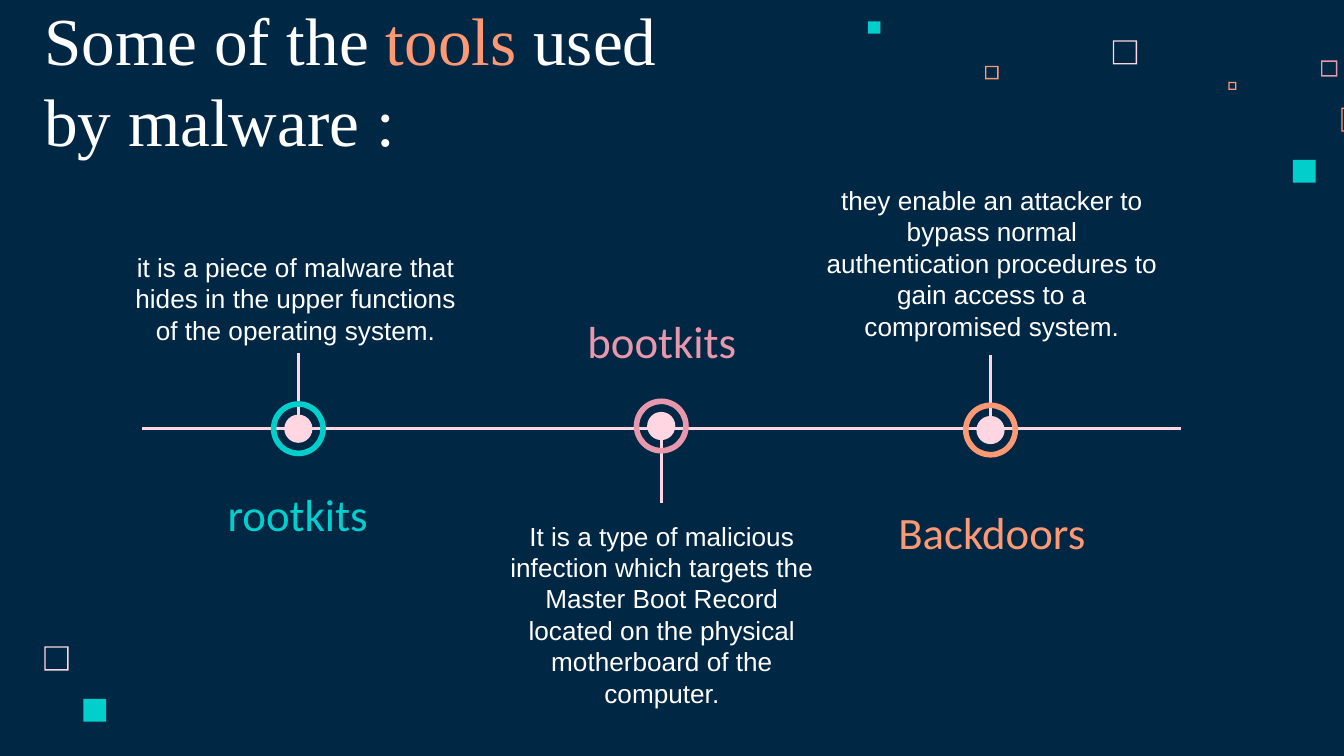
from pptx import Presentation
from pptx.dml.color import RGBColor
from pptx.enum.shapes import MSO_CONNECTOR, MSO_SHAPE
from pptx.enum.text import MSO_ANCHOR, PP_ALIGN
from pptx.oxml import parse_xml
from pptx.oxml.ns import nsdecls
from pptx.util import Inches, Pt

NAVY = RGBColor(0x00, 0x28, 0x45)
WHITE = RGBColor(0xFF, 0xFF, 0xFF)
BLUSH = RGBColor(0xFF, 0xD6, 0xE1)
PINK = RGBColor(0xE8, 0x98, 0xAC)
ORANGE = RGBColor(0xFF, 0x99, 0x73)
TEAL = RGBColor(0x00, 0xCF, 0xCC)

# Content
TITLE = [("Some of the ", WHITE), ("tools", ORANGE), (" used by malware :", WHITE)]

# Boxes are (left, top, width, height); "pin" is the top of the vertical line
TOOLS = [
    {"name": "rootkits", "color": TEAL, "center": (2.22, 3.19), "pin": 2.63,
     "name_box": (1.51, 3.59, 1.41, 0.47), "text_box": (0.9, 1.62, 2.6, 1.05),
     "anchor": MSO_ANCHOR.BOTTOM,
     "text": "it is a piece of malware that hides in the upper functions "
             "of the operating system."},
    {"name": "bootkits", "color": PINK, "center": (4.92, 3.17), "pin": 3.24,
     "name_box": (4.22, 2.3, 1.41, 0.47), "text_box": (3.64, 3.77, 2.57, 2),
     "anchor": MSO_ANCHOR.TOP,
     "text": "It is a type of malicious infection which targets the Master Boot "
             "Record located on the physical motherboard of the computer."},
    {"name": "Backdoors", "color": ORANGE, "center": (7.37, 3.2), "pin": 2.64,
     "name_box": (6.52, 3.72, 1.72, 0.47), "text_box": (6.04, 1.4, 2.68, 1.24),
     "anchor": MSO_ANCHOR.BOTTOM,
     "text": "they enable an attacker to bypass normal authentication procedures "
             "to gain access to a compromised system."},
]

# Decorative squares: left, top, size, colour
FRAMES = [(8.28, 0.3, 0.18, BLUSH), (9.83, 0.45, 0.12, PINK), (9.14, 0.61, 0.06, ORANGE),
          (9.98, 0.8, 0.18, ORANGE), (7.33, 0.49, 0.1, ORANGE), (0.33, 4.81, 0.18, BLUSH)]
SQUARES = [(9.62, 1.19, 0.17, TEAL), (6.46, 0.16, 0.09, TEAL), (0.62, 5.2, 0.17, TEAL)]

FRAME_LINE = 0.01
PIN_LENGTH = 0.5
DOT, RING = 0.21, 0.41
AXIS = (1.06, 8.79, 3.19)

deck = Presentation()
deck.slide_width = Inches(10)
deck.slide_height = deck.slide_width * 9 // 16
page = deck.slides.add_slide(deck.slide_layouts[5])
page.background.fill.solid()
page.background.fill.fore_color.rgb = NAVY


def add_solid(kind, left, top, size, color, adjustment=None):
    shape = page.shapes.add_shape(kind, *map(Inches, (left, top, size, size)))
    shape.shadow.inherit = False
    shape.fill.solid()
    shape.fill.fore_color.rgb = color
    shape.line.fill.background()
    if adjustment is not None:
        shape.adjustments[0] = adjustment


def add_line(x1, y1, x2, y2):
    line = page.shapes.add_connector(MSO_CONNECTOR.STRAIGHT, *map(Inches, (x1, y1, x2, y2)))
    line.line.color.rgb = BLUSH
    line.line.width = Pt(1.5)
    line._element.spPr.append(parse_xml(f"<a:effectLst {nsdecls('a')}/>"))


def write(box, spans, size, font, anchor, align):
    frame = box.text_frame
    frame.word_wrap = True
    frame.vertical_anchor = anchor
    frame.margin_left = frame.margin_right = Inches(0.1)
    frame.margin_top = frame.margin_bottom = Inches(0.1)
    para = frame.paragraphs[0]
    para.alignment = align
    for text, color in spans:
        span = para.add_run()
        span.text = text
        span.font.size = Pt(size)
        span.font.name = font
        span.font.color.rgb = color


def add_text(place, *style):
    write(page.shapes.add_textbox(*map(Inches, place)), *style)


# Background squares
for left, top, size, color in FRAMES:
    add_solid(MSO_SHAPE.FRAME, left, top, size, color, FRAME_LINE / size)
for left, top, size, color in SQUARES:
    add_solid(MSO_SHAPE.RECTANGLE, left, top, size, color)

# Title
title = page.shapes.title
title.left, title.top, title.width, title.height = map(Inches, (0.23, 0.21, 5.08, 1.08))
write(title, TITLE, 36, "Times New Roman", MSO_ANCHOR.BOTTOM, PP_ALIGN.LEFT)

# Timeline
start, end, axis_y = AXIS
for tool in TOOLS:
    x = tool["center"][0]
    add_line(x, tool["pin"], x, tool["pin"] + PIN_LENGTH)
add_line(start, axis_y, end, axis_y)
for tool in TOOLS:
    x, y = tool["center"]
    add_solid(MSO_SHAPE.OVAL, x - DOT / 2, y - DOT / 2, DOT, BLUSH)
    add_solid(MSO_SHAPE.DONUT, x - RING / 2, y - RING / 2, RING, tool["color"], 0.102)

# Names and descriptions
for tool in TOOLS:
    add_text(tool["name_box"], [(tool["name"], tool["color"])], 24, "Calibri",
             MSO_ANCHOR.MIDDLE, PP_ALIGN.CENTER)
    add_text(tool["text_box"], [(tool["text"], WHITE)], 14, "Arial",
             tool["anchor"], PP_ALIGN.CENTER)

deck.save("out.pptx")
